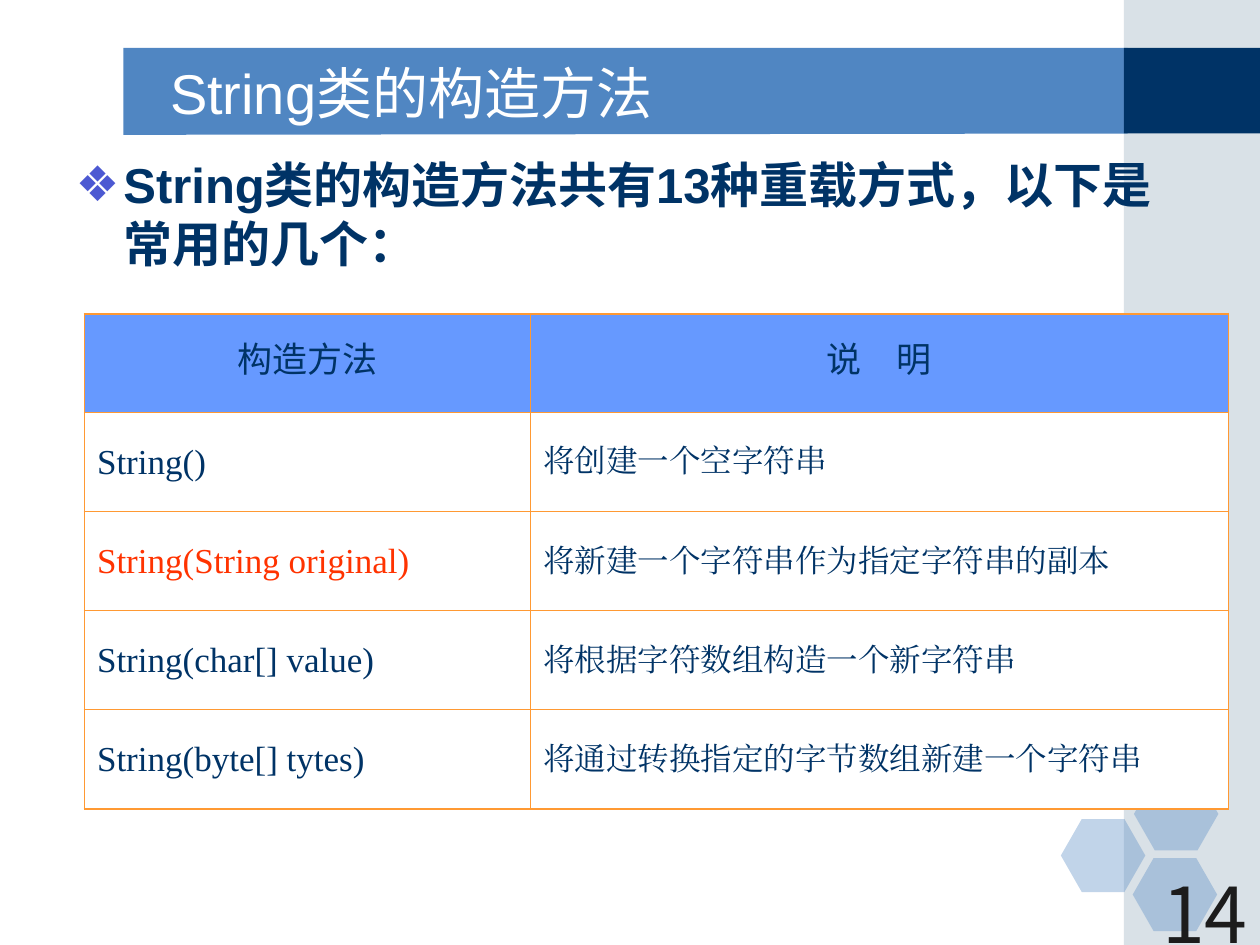
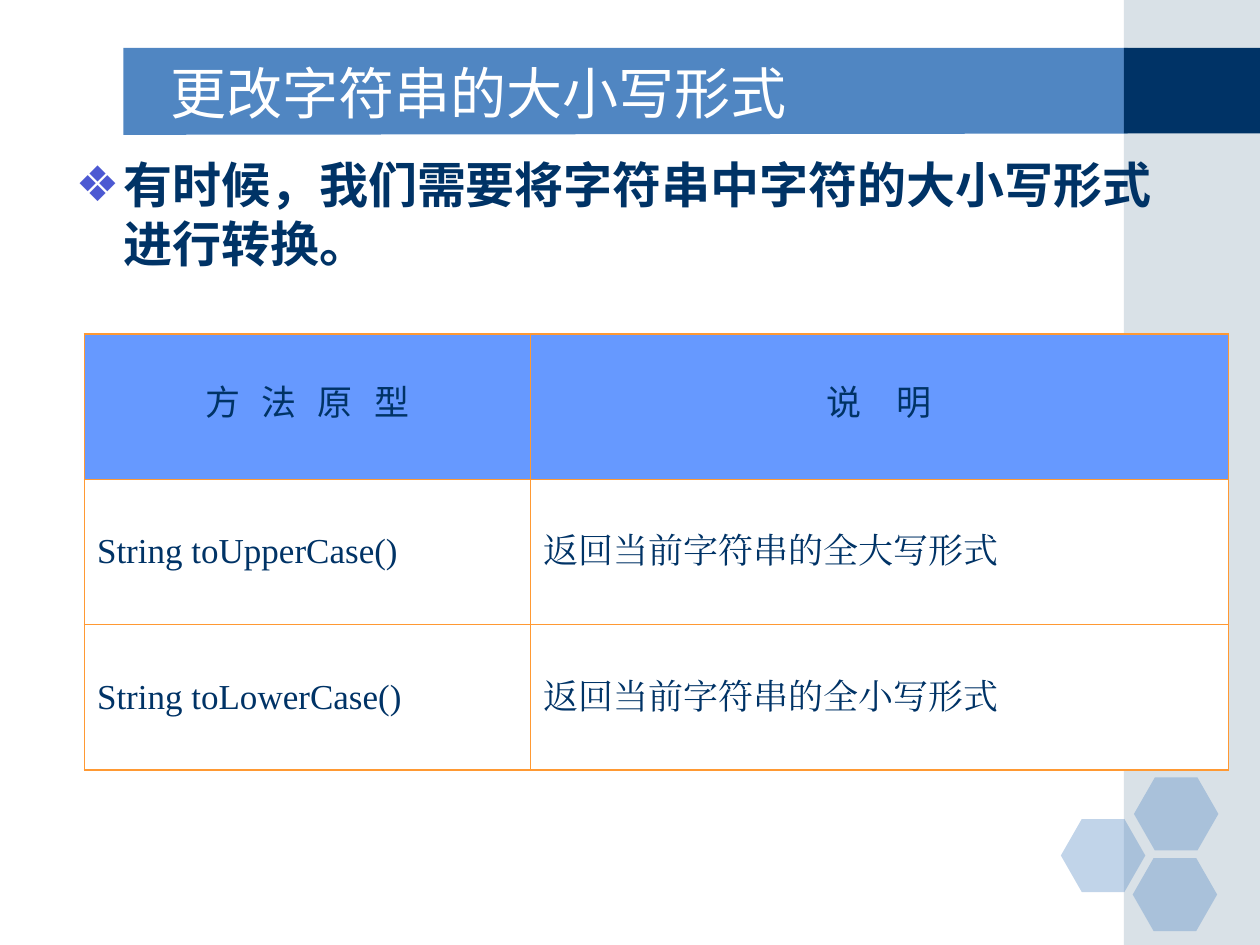
from lxml import etree
from pptx import Presentation
from pptx import oxml
from pptx import util as u
from pptx.dml.color import RGBColor
from pptx.enum import lang, shapes, text
from pptx.oxml import ns

Inches = u.Inches

# Shared colours and fonts
WHITE = RGBColor(0xFF, 0xFF, 0xFF)
NAVY = RGBColor(0x00, 0x33, 0x66)
BAND_BLUE = RGBColor(0x50, 0x86, 0xC2)
PANEL_GREY = RGBColor(0xA0, 0xB5, 0xC4)
HEADER_BLUE = RGBColor(0x66, 0x99, 0xFF)
BORDER_ORANGE = RGBColor(0xFF, 0x99, 0x33)
BULLET_VIOLET = RGBColor(0x4C, 0x59, 0xD2)
RED = RGBColor(0xFF, 0x33, 0x00)
NEAR_BLACK = RGBColor(0x1C, 0x1C, 0x1C)
TITLE_FONT = "Arial"
HEADER_FONT = "Courier New"
CELL_FONT = "Times New Roman"
NUMBER_FONT = "Noto Sans CJK SC"
OUTER_LINE, INNER_LINE = 1.08, 0.45

# Content of the slides
SLIDES = [
    dict(
        title="String类的构造方法",
        lead="String类的构造方法共有13种重载方式，以下是常用的几个：",
        number="14",
        table_top=2.49,
        table_height=3.93,
        description_size=18,
        rows=[
            ("构造方法", "说　明"),
            ("String()", "将创建一个空字符串"),
            ("String(String original)", "将新建一个字符串作为指定字符串的副本"),
            ("String(char[] value)", "将根据字符数组构造一个新字符串"),
            ("String(byte[] tytes)", "将通过转换指定的字节数组新建一个字符串"),
        ],
        highlighted="String(String original)",
    ),
    dict(
        title="更改字符串的大小写形式",
        lead="有时候，我们需要将字符串中字符的大小写形式进行转换。",
        number=None,
        table_top=2.65,
        table_height=3.46,
        description_size=20,
        rows=[
            ("方 法 原 型", "说　明"),
            ("String toUpperCase()", "返回当前字符串的全大写形式"),
            ("String toLowerCase()", "返回当前字符串的全小写形式"),
        ],
        highlighted=None,
    ),
]


def write_text(frame, words, font=TITLE_FONT, size=20, color=NAVY, bold=False,
               align=text.PP_ALIGN.LEFT, anchor=text.MSO_ANCHOR.TOP):
    """Put one formatted paragraph into a text frame and return it."""
    frame.word_wrap = True
    frame.vertical_anchor = anchor
    paragraph = frame.paragraphs[0]
    paragraph.alignment = align
    paragraph.space_before = u.Pt(0)
    run = paragraph.add_run()
    run.text = words
    run.font.name = font
    run.font.size = u.Pt(size)
    run.font.bold = bold
    run.font.color.rgb = color
    run.font.language_id = lang.MSO_LANGUAGE_ID.SIMPLIFIED_CHINESE
    east_asian = etree.SubElement(run.font._element, ns.qn("a:ea"))
    east_asian.set("typeface", font)
    return paragraph


def paint(shape, color, opacity=100):
    """Give a shape a plain fill without line or shadow."""
    shape.shadow.inherit = False
    shape.line.fill.background()
    shape.fill.solid()
    shape.fill.fore_color.rgb = color
    if opacity < 100:
        color_node = shape.element.find(".//" + ns.qn("a:srgbClr"))
        etree.SubElement(color_node, ns.qn("a:alpha")).set("val", str(opacity * 1000))


presentation = Presentation()
presentation.slide_width = Inches(10)
presentation.slide_height = Inches(7.5)
layout = presentation.slide_layouts[1]
pages = [presentation.slides.add_slide(layout) for _ in SLIDES]

# Shared decoration: title band, right panel, hexagons
canvas = pages[0].shapes
outline = canvas.build_freeform(Inches(0.98), Inches(0.38))
outline.add_line_segments(
    [(Inches(x), Inches(y)) for x, y in [(8.95, 0.38), (8.95, 1.06), (0.98, 1.07)]])
band = outline.convert_to_shape()
paint(band, BAND_BLUE)
decoration = [band]
for top, height, color, opacity in [(0, 7.5, PANEL_GREY, 40), (0.38, 0.68, NAVY, 100)]:
    panel = canvas.add_shape(shapes.MSO_SHAPE.RECTANGLE, Inches(8.92), Inches(top),
                             Inches(1.08), Inches(height))
    paint(panel, color, opacity)
    decoration.append(panel)
for left, top in [(8.42, 6.5), (9, 6.17), (8.99, 6.81)]:
    hexagon = canvas.add_shape(shapes.MSO_SHAPE.HEXAGON, Inches(left), Inches(top),
                               Inches(0.67), Inches(0.58))
    hexagon.adjustments[0] = 0.286
    paint(hexagon, BAND_BLUE, 35)
    decoration.append(hexagon)

# Move the decoration to the layout, behind its placeholders
for position, shape in enumerate(decoration):
    shape.element.nvSpPr.cNvPr.id = 20 + position
    layout.shapes.element.insert(2 + position, shape.element)

for slide, content in zip(pages, SLIDES):
    # Title
    title = slide.shapes.title
    title.left, title.top = Inches(1.25), Inches(0.42)
    title.width, title.height = Inches(7.33), Inches(0.62)
    title.text_frame.auto_size = text.MSO_AUTO_SIZE.NONE
    write_text(title.text_frame, content["title"], size=32, color=WHITE,
               anchor=text.MSO_ANCHOR.MIDDLE)

    # Bulleted lead sentence
    body = slide.placeholders[1]
    body.left, body.top = Inches(0.5), Inches(1.18)
    body.width, body.height = Inches(9), Inches(5.74)
    body.text_frame.auto_size = text.MSO_AUTO_SIZE.NONE
    lead = write_text(body.text_frame, content["lead"], size=28, bold=True)
    properties = lead._p.get_or_add_pPr()
    properties.set("marL", str(Inches(0.38)))
    properties.set("indent", str(Inches(-0.38)))
    bullet_color = etree.SubElement(properties, ns.qn("a:buClr"))
    etree.SubElement(bullet_color, ns.qn("a:srgbClr")).set("val", str(BULLET_VIOLET))
    etree.SubElement(properties, ns.qn("a:buFont")).set("typeface", TITLE_FONT)
    etree.SubElement(properties, ns.qn("a:buChar")).set("char", "❖")

    # Slide number
    if content["number"]:
        number_box = slide.shapes.add_textbox(Inches(7.92), Inches(6.83),
                                              Inches(2.08), Inches(0.5))
        write_text(number_box.text_frame, content["number"], font=NUMBER_FONT, size=44,
                   color=NEAR_BLACK, align=text.PP_ALIGN.RIGHT)

    # Method table
    rows = content["rows"]
    last_row = len(rows) - 1
    table = slide.shapes.add_table(
        len(rows), 2, Inches(0.67), Inches(content["table_top"]),
        Inches(9.08), Inches(content["table_height"])).table
    table.first_row = False
    table.horz_banding = False
    table.columns[0].width = Inches(3.54)
    table.columns[1].width = Inches(5.54)
    for row, labels in enumerate(rows):
        for column, label in enumerate(labels):
            cell = table.cell(row, column)
            cell.vertical_anchor = text.MSO_ANCHOR.MIDDLE
            cell.fill.solid()
            cell.fill.fore_color.rgb = WHITE if row else HEADER_BLUE
            write_text(
                cell.text_frame, label,
                font=CELL_FONT if row else HEADER_FONT,
                size=content["description_size"] if row and column else 20,
                color=RED if label == content["highlighted"] else NAVY,
                align=text.PP_ALIGN.LEFT if row else text.PP_ALIGN.CENTER,
                anchor=text.MSO_ANCHOR.MIDDLE)

            # Thick lines on the outside of the table, thin ones inside
            outer_edges = [("L", column == 0), ("R", column == 1),
                           ("T", row == 0), ("B", row == last_row)]
            for position, (side, is_outer) in enumerate(outer_edges):
                width = u.Pt(OUTER_LINE if is_outer else INNER_LINE)
                border = oxml.parse_xml(
                    f'<a:ln{side} {ns.nsdecls("a")} w="{width}"><a:solidFill>'
                    f'<a:srgbClr val="{BORDER_ORANGE}"/></a:solidFill></a:ln{side}>')
                cell._tc.get_or_add_tcPr().insert(position, border)

presentation.save("out.pptx")
